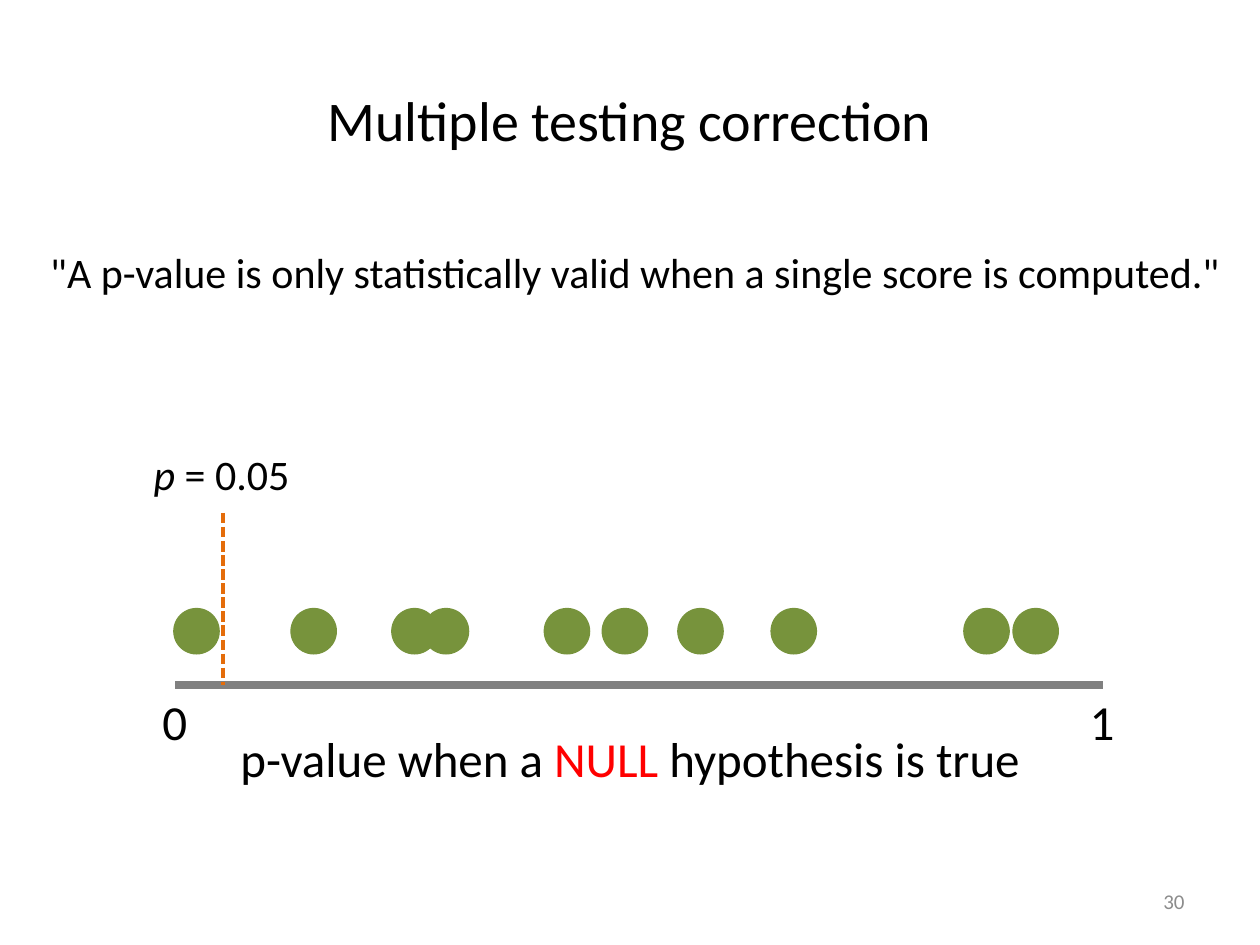
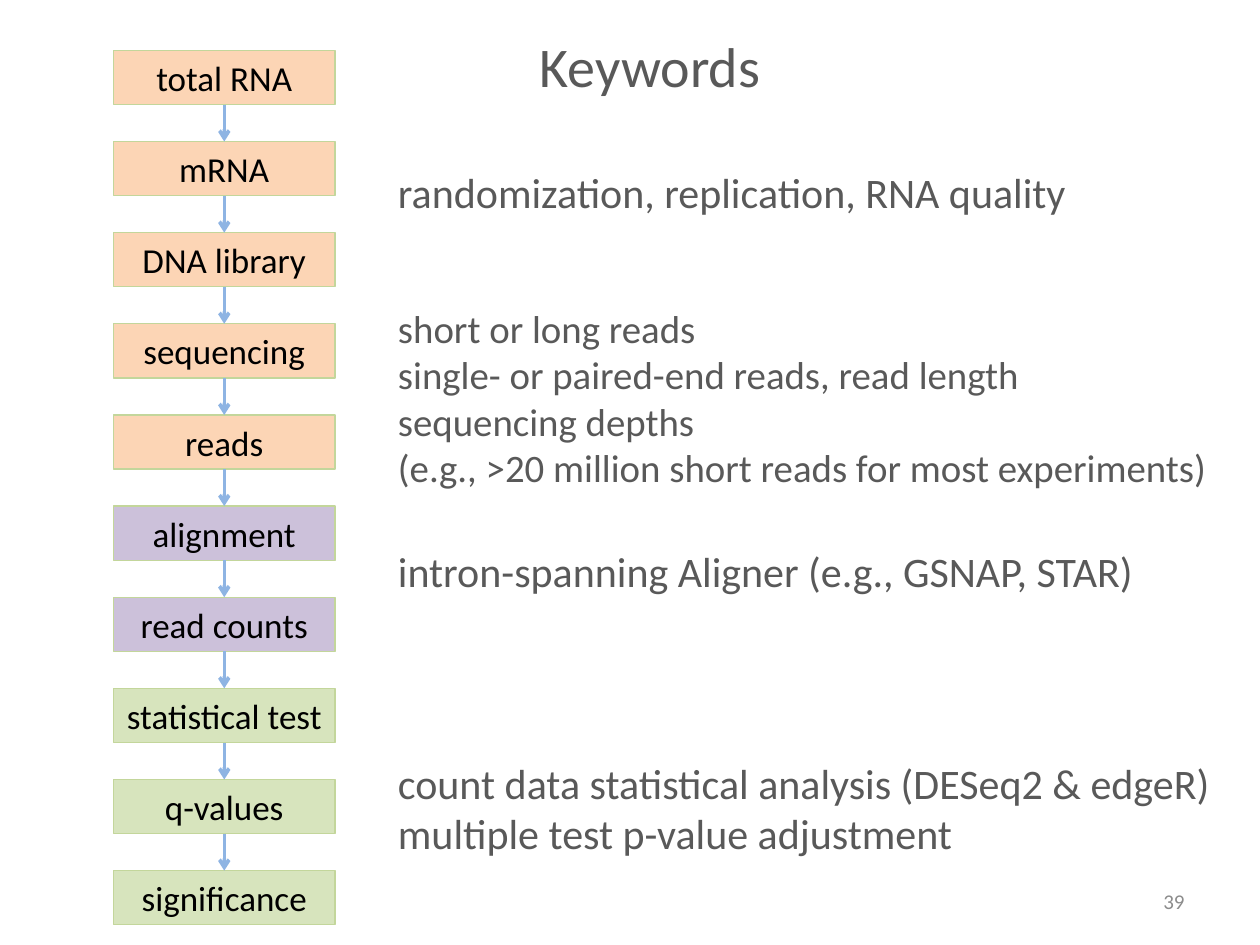
from lxml.etree import SubElement
from pptx import Presentation
from pptx.dml.color import RGBColor
from pptx.enum.dml import MSO_LINE
from pptx.enum.shapes import MSO_CONNECTOR, MSO_SHAPE
from pptx.enum.text import MSO_ANCHOR, PP_ALIGN
from pptx.oxml.ns import qn
from pptx.util import Inches, Pt

FONT = "Calibri"
BLACK, DARK_GRAY, NUMBER_GRAY, AXIS_GRAY = "000000", "595959", "8C8C8C", "808080"
RED, ORANGE, GREEN, ARROW_BLUE = "FF0000", "E46C0A", "77933C", "8EB4E3"
LAB_FILL, MAPPING_FILL, STATISTICS_FILL, STEP_BORDER = "FCD5B5", "CCC1DA", "D7E4BD", "C3D69B"

AXIS_LEFT, AXIS_RIGHT, AXIS_TOP = 1.39, 8.75, 5.44
DOT_SIZE, DOT_TOP = 0.36, 4.83
DOT_LEFTS = [1.38, 2.31, 3.11, 3.36, 4.32, 4.78, 5.38, 6.12, 7.65, 8.04]

STEP_LEFT, STEP_TOP, STEP_WIDTH, STEP_HEIGHT = 0.9, 0.4, 1.76, 0.43
LAST_STEP_TOP = 6.91
STEPS = [
    ("total RNA", LAB_FILL),
    ("mRNA", LAB_FILL),
    ("DNA library", LAB_FILL),
    ("sequencing", LAB_FILL),
    ("reads", LAB_FILL),
    ("alignment", MAPPING_FILL),
    ("read counts", MAPPING_FILL),
    ("statistical test", STATISTICS_FILL),
    ("q-values", STATISTICS_FILL),
    ("significance", STATISTICS_FILL),
]

KEYWORDS_LEFT = 3.06
KEYWORDS = [
    (1.21, 5.86, 0.63, 24, ["randomization, replication, RNA quality"]),
    (2.29, 6.81, 1.73, 22.2, [
        "short or long reads",
        "single- or paired-end reads, read length",
        "sequencing depths",
        "(e.g., >20 million short reads for most experiments)",
    ]),
    (4.02, 6.44, 1.02, 24, ["intron-spanning Aligner (e.g., GSNAP, STAR)"]),
    (5.9, 6.81, 1.02, 24, [
        "count data statistical analysis (DESeq2 & edgeR)",
        "multiple test p-value adjustment",
    ]),
]


def color(code):
    """Turn a hex string into a colour."""
    return RGBColor.from_string(code)


def add_run(paragraph, text, size=24, text_color=BLACK, italic=False):
    """Append formatted text to a paragraph."""
    run = paragraph.add_run()
    run.text = text
    run.font.name = FONT
    run.font.size = Pt(size)
    run.font.italic = italic
    run.font.color.rgb = color(text_color)


def add_text(slide, lines, left, top, width, height, align=PP_ALIGN.LEFT,
             anchor=MSO_ANCHOR.TOP, wrap=False, **style):
    """Add a text box with one paragraph per line and return its first paragraph."""
    box = slide.shapes.add_textbox(Inches(left), Inches(top), Inches(width), Inches(height))
    frame = box.text_frame
    frame.word_wrap = wrap
    frame.vertical_anchor = anchor
    for index, line in enumerate(lines):
        paragraph = frame.add_paragraph() if index else frame.paragraphs[0]
        paragraph.alignment = align
        add_run(paragraph, line, **style)
    return frame.paragraphs[0]


def add_title(slide, title, left, top, width, height, text_color=BLACK):
    """Add a centred slide title."""
    add_text(slide, [title], left, top, width, height, align=PP_ALIGN.CENTER,
             anchor=MSO_ANCHOR.MIDDLE, wrap=True, size=32, text_color=text_color)


def add_slide_number(slide, number):
    """Add the number in the lower right corner."""
    add_text(slide, [str(number)], 7.17, 6.95, 2.33, 0.4, align=PP_ALIGN.RIGHT,
             anchor=MSO_ANCHOR.MIDDLE, wrap=True, size=12, text_color=NUMBER_GRAY)


def add_filled_shape(slide, kind, left, top, width, height, fill, border):
    """Add a flat shape with a thin border."""
    shape = slide.shapes.add_shape(kind, Inches(left), Inches(top), Inches(width), Inches(height))
    shape.shadow.inherit = False
    shape.fill.solid()
    shape.fill.fore_color.rgb = color(fill)
    shape.line.color.rgb = color(border)
    shape.line.width = Pt(0.75)
    return shape


def add_line(slide, start, end, line_color, width):
    """Add a straight line without a shadow."""
    points = [Inches(value) for value in (*start, *end)]
    line = slide.shapes.add_connector(MSO_CONNECTOR.STRAIGHT, *points)
    line.line.color.rgb = color(line_color)
    line.line.width = Pt(width)
    SubElement(line._element.spPr, qn("a:effectLst"))
    return line


def add_step(slide, label, top, fill):
    """Add one labelled box of the workflow."""
    step = add_filled_shape(slide, MSO_SHAPE.RECTANGLE, STEP_LEFT, top, STEP_WIDTH,
                            STEP_HEIGHT, fill, STEP_BORDER)
    frame = step.text_frame
    frame.margin_left = frame.margin_right = frame.margin_top = frame.margin_bottom = 0
    frame.vertical_anchor = MSO_ANCHOR.MIDDLE
    frame.paragraphs[0].alignment = PP_ALIGN.CENTER
    add_run(frame.paragraphs[0], label, size=20)
    return step


def add_step_arrow(slide, upper, lower):
    """Join two consecutive steps with an arrow."""
    arrow = add_line(slide, (0, 0), (0, 0), ARROW_BLUE, 2)
    arrow.begin_connect(upper, 2)
    arrow.end_connect(lower, 0)
    SubElement(arrow.line._get_or_add_ln(), qn("a:tailEnd"), type="arrow")


def build_correction_slide(slide):
    """Show p-values scattered between 0 and 1 under the null hypothesis."""
    add_title(slide, "Multiple testing correction", 0.5, 0.45, 9, 0.99)
    add_text(slide, ['"A p-value is only statistically valid when a single score is computed."'],
             0.3, 1.91, 9.62, 0.5)
    add_line(slide, (AXIS_LEFT, AXIS_TOP), (AXIS_RIGHT, AXIS_TOP), AXIS_GRAY, 4.5)
    for label, center in (("0", AXIS_LEFT), ("1", AXIS_RIGHT)):
        add_text(slide, [label], center - 0.2, AXIS_TOP, 0.4, 0.57, size=28)
    caption = add_text(slide, ["p-value when a "], 1.81, 5.73, 6.63, 0.57, size=28)
    add_run(caption, "NULL", size=28, text_color=RED)
    add_run(caption, " hypothesis is true", size=28)
    for left in DOT_LEFTS:
        add_filled_shape(slide, MSO_SHAPE.OVAL, left, DOT_TOP, DOT_SIZE, DOT_SIZE, GREEN, GREEN)
    threshold = add_line(slide, (1.77, 4.07), (1.77, AXIS_TOP), ORANGE, 2)
    threshold.line.dash_style = MSO_LINE.SQUARE_DOT
    threshold_label = add_text(slide, ["p"], 1.12, 3.51, 1.31, 0.5, italic=True)
    add_run(threshold_label, " = 0.05")
    add_slide_number(slide, 30)


def build_keywords_slide(slide):
    """Show the sequencing workflow beside its keywords."""
    pitch = (LAST_STEP_TOP - STEP_TOP) / (len(STEPS) - 1)
    steps = [add_step(slide, label, STEP_TOP + index * pitch, fill)
             for index, (label, fill) in enumerate(STEPS)]
    for upper, lower in zip(steps, steps[1:]):
        add_step_arrow(slide, upper, lower)
    add_title(slide, "Keywords", 3.53, 0.2, 3.26, 0.63, text_color=DARK_GRAY)
    for top, width, height, size, lines in KEYWORDS:
        add_text(slide, lines, KEYWORDS_LEFT, top, width, height, anchor=MSO_ANCHOR.MIDDLE,
                 wrap=True, size=size, text_color=DARK_GRAY)
    add_slide_number(slide, 39)


def main():
    """Build and save the presentation."""
    presentation = Presentation()
    presentation.slide_width = Inches(10)
    presentation.slide_height = Inches(7.5)
    blank = presentation.slide_layouts[6]
    for build in (build_correction_slide, build_keywords_slide):
        build(presentation.slides.add_slide(blank))
    presentation.save("out.pptx")


if __name__ == "__main__":
    main()
